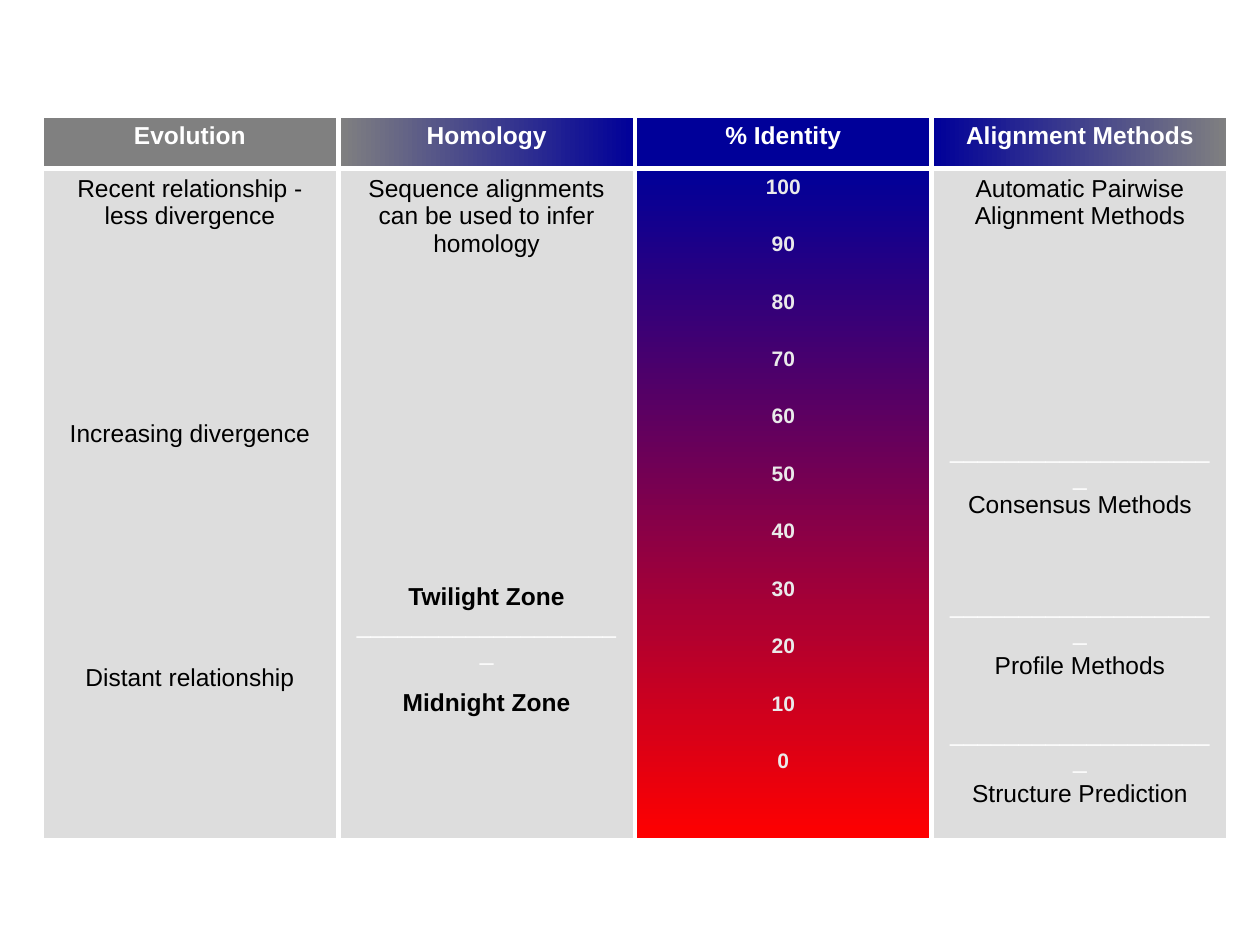
from dataclasses import dataclass

from lxml.etree import SubElement
from pptx import Presentation
from pptx.dml.color import RGBColor as Color
from pptx.enum.text import PP_ALIGN as Align
from pptx.oxml.ns import qn
from pptx.util import Inches, Pt


@dataclass(frozen=True)
class Theme:
    font: str = "Arial"
    size: float = 14
    scale_size: float = 12
    line: float = 15.5  # height of one text line, points
    scale_line: float = 13.4
    space: float = 3.5
    border: float = 3
    white: str = "FFFFFF"
    black: str = "000000"
    pale: str = "EAEAEA"
    panel: str = "DDDDDD"
    gray: str = "808080"
    blue: str = "000099"
    red: str = "FF0000"


theme = Theme()

# Content: heading, heading fill, body fill, and body lines.
# A fill is one colour, or two colours and an angle.
# A body line is its text, the space before it in points, and its style.
RULE = "_" * 20
spaced_line = theme.line + theme.space
scale_gap = theme.scale_line + 6
COLUMNS = [
    ("Evolution", (theme.gray,), (theme.panel,), [
        ("Recent relationship - less divergence", 0, "plain"),
        ("Increasing divergence", 7 * theme.line, "plain"),
        ("Distant relationship", 8 * theme.line, "plain"),
    ]),
    ("Homology", (theme.blue, theme.gray, 180), (theme.panel,), [
        ("Sequence alignments can be used to infer homology", 0, "plain"),
        ("Twilight Zone", 12 * theme.line, "strong"),
        (RULE, 0, "rule"),
        ("Midnight Zone", theme.scale_line, "strong"),
    ]),
    ("% Identity", (theme.blue,), (theme.blue, theme.red, 270), [
        (str(value), scale_gap if value < 100 else 0, "scale")
        for value in range(100, -1, -10)
    ]),
    ("Alignment Methods", (theme.gray, theme.blue, 180), (theme.panel,), [
        ("Automatic Pairwise Alignment Methods", 0, "plain"),
        (RULE, 6 * spaced_line + theme.space, "rule"),
        ("Consensus Methods", 0, "plain"),
        (RULE, 2 * spaced_line + theme.space, "rule"),
        ("Profile Methods", theme.space, "plain"),
        (RULE, spaced_line + theme.space, "rule"),
        ("Structure Prediction", theme.space, "plain"),
    ]),
]

# Text styles: size, bold, colour
STYLES = {
    "heading": (theme.size, True, theme.white),
    "plain": (theme.size, False, theme.black),
    "strong": (theme.size, True, theme.black),
    "rule": (theme.size, False, theme.white),
    "scale": (theme.scale_size, True, theme.pale),
}

# Table grid, inches
LEFT, TOP, WIDTH = 0.33, 0.92, 9.42
ROW_HEIGHTS = (0.42, 5.33)


def add_borders(cell):
    properties = cell._tc.get_or_add_tcPr()
    for side in ("lnL", "lnR", "lnT", "lnB"):
        line = SubElement(properties, qn(f"a:{side}"), w=str(Pt(theme.border)))
        fill = SubElement(line, qn("a:solidFill"))
        SubElement(fill, qn("a:srgbClr"), val=theme.white)


def paint(cell, fill):
    if len(fill) == 1:
        cell.fill.solid()
        cell.fill.fore_color.rgb = Color.from_string(fill[0])
        return
    *colors, angle = fill
    cell.fill.gradient()
    cell.fill.gradient_angle = angle
    for stop, position, color in zip(cell.fill.gradient_stops, (0, 1), colors):
        stop.position = position
        stop.color.rgb = Color.from_string(color)


def write(cell, lines):
    frame = cell.text_frame
    for index, (text, before, style) in enumerate(lines):
        paragraph = frame.add_paragraph() if index else frame.paragraphs[0]
        paragraph.alignment = Align.CENTER
        paragraph.space_before = Pt(before)
        run = paragraph.add_run()
        run.text = text
        size, bold, color = STYLES[style]
        formats = {"name": theme.font, "size": Pt(size), "bold": bold}
        for name, value in formats.items():
            setattr(run.font, name, value)
        run.font.color.rgb = Color.from_string(color)


def main():
    presentation = Presentation()
    presentation.slide_width, presentation.slide_height = Inches(10), Inches(7.5)
    slide = presentation.slides.add_slide(presentation.slide_layouts[6])

    # Table frame
    table = slide.shapes.add_table(
        len(ROW_HEIGHTS), len(COLUMNS), Inches(LEFT), Inches(TOP),
        Inches(WIDTH), Inches(sum(ROW_HEIGHTS))).table
    table.first_row = table.horz_banding = False
    for row, height in zip(table.rows, ROW_HEIGHTS):
        row.height = Inches(height)

    # Headings and bodies
    for column, (heading, heading_fill, body_fill, body) in enumerate(COLUMNS):
        table.columns[column].width = Inches(WIDTH / len(COLUMNS))
        parts = [([(heading, 0, "heading")], heading_fill), (body, body_fill)]
        for row, (lines, fill) in enumerate(parts):
            cell = table.cell(row, column)
            add_borders(cell)
            paint(cell, fill)
            write(cell, lines)

    presentation.save("out.pptx")


if __name__ == "__main__":
    main()
